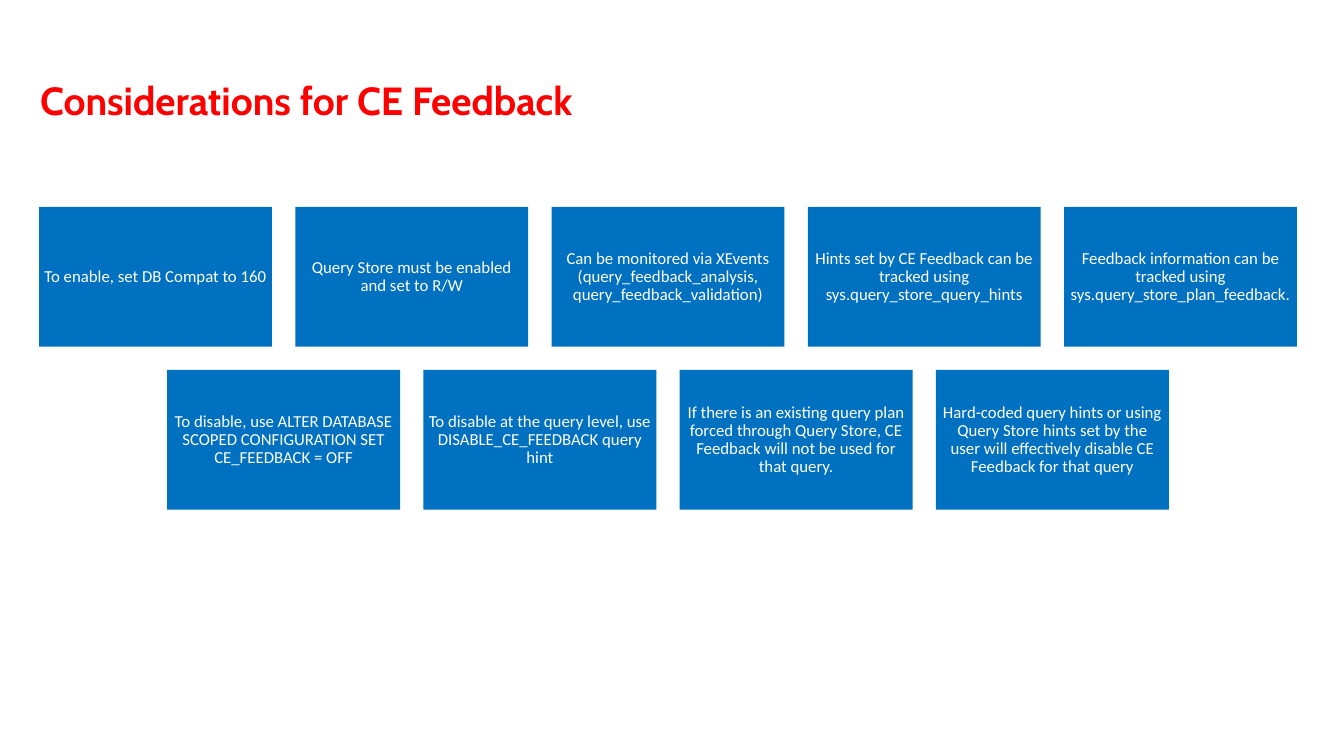
from dataclasses import dataclass

from pptx import Presentation
from pptx import util as u
from pptx.dml import color
from pptx.enum import shapes, text
from pptx.slide import Slide


@dataclass(frozen=True)
class Theme:
    title_color: color.RGBColor = color.RGBColor(0xFF, 0x00, 0x00)
    card_fill: color.RGBColor = color.RGBColor(0x00, 0x70, 0xC0)
    card_text: color.RGBColor = color.RGBColor(0xFF, 0xFF, 0xFF)
    title_font: str = "Cabin"
    card_font: str = "Calibri"
    title_size: float = 28
    card_size: float = 12


@dataclass(frozen=True)
class CardGrid:
    left: float = 27.9
    top: float = 147.8
    width: float = 166.4
    height: float = 99.84
    gap: float = 16.64


@dataclass(frozen=True)
class Consideration:
    wording: str
    row: int
    column: float


THEME = Theme()
GRID = CardGrid()

ROWS = (
    (
        "To enable, set DB Compat to 160",
        "Query Store must be enabled and set to R/W",
        "Can be monitored via XEvents (query_feedback_analysis, query_feedback_validation)",
        "Hints set by CE Feedback can be tracked using sys.query_store_query_hints",
        "Feedback information can be tracked using sys.query_store_plan_feedback.",
    ),
    (
        "To disable, use ALTER DATABASE SCOPED CONFIGURATION SET CE_FEEDBACK = OFF",
        "To disable at the query level, use DISABLE_CE_FEEDBACK query hint",
        "If there is an existing query plan forced through Query Store, "
        "CE Feedback will not be used for that query.",
        "Hard-coded query hints or using Query Store hints set by the user "
        "will effectively disable CE Feedback for that query",
    ),
)


def arrange(rows: tuple[tuple[str, ...], ...]) -> list[Consideration]:
    """Centre each row of cards under the longest one."""
    longest = max(len(row) for row in rows)
    return [
        Consideration(wording, row_index, column + (longest - len(row)) / 2)
        for row_index, row in enumerate(rows)
        for column, wording in enumerate(row)
    ]


def add_title(slide: Slide, wording: str) -> None:
    title = slide.shapes.add_textbox(u.Pt(21.6), u.Pt(51.1), u.Pt(496), u.Pt(41))
    frame = title.text_frame
    frame.text = wording
    frame.word_wrap = True
    frame.auto_size = text.MSO_AUTO_SIZE.SHAPE_TO_FIT_TEXT
    font = frame.paragraphs[0].runs[0].font
    font.name = THEME.title_font
    font.size = u.Pt(THEME.title_size)
    font.bold = True
    font.color.rgb = THEME.title_color


def add_card(slide: Slide, consideration: Consideration) -> None:
    card = slide.shapes.add_shape(
        shapes.MSO_SHAPE.RECTANGLE,
        u.Pt(GRID.left + consideration.column * (GRID.width + GRID.gap)),
        u.Pt(GRID.top + consideration.row * (GRID.height + GRID.gap)),
        u.Pt(GRID.width),
        u.Pt(GRID.height),
    )
    card.shadow.inherit = False
    card.fill.solid()
    card.fill.fore_color.rgb = THEME.card_fill
    card.line.fill.background()

    frame = card.text_frame
    frame.text = consideration.wording
    frame.word_wrap = True
    frame.vertical_anchor = text.MSO_ANCHOR.MIDDLE
    frame.margin_left = frame.margin_right = u.Pt(3.6)
    frame.margin_top = frame.margin_bottom = u.Pt(3.6)
    paragraph = frame.paragraphs[0]
    paragraph.alignment = text.PP_ALIGN.CENTER
    paragraph.line_spacing = 0.9
    font = paragraph.runs[0].font
    font.name = THEME.card_font
    font.size = u.Pt(THEME.card_size)
    font.color.rgb = THEME.card_text


def main() -> None:
    presentation = Presentation()
    presentation.slide_width = u.Pt(960)
    presentation.slide_height = u.Pt(540)
    slide = presentation.slides.add_slide(presentation.slide_layouts[6])
    add_title(slide, "Considerations for CE Feedback")
    for consideration in arrange(ROWS):
        add_card(slide, consideration)
    presentation.save("out.pptx")


if __name__ == "__main__":
    main()
